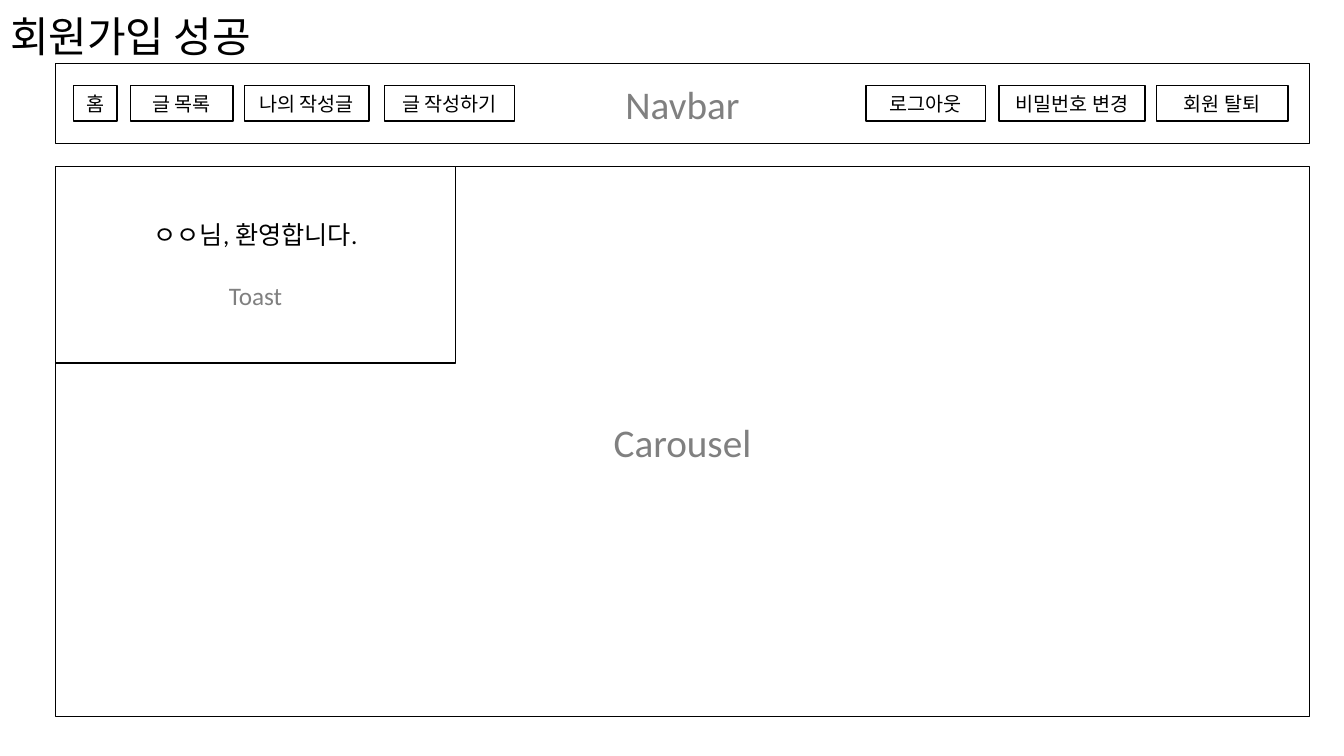
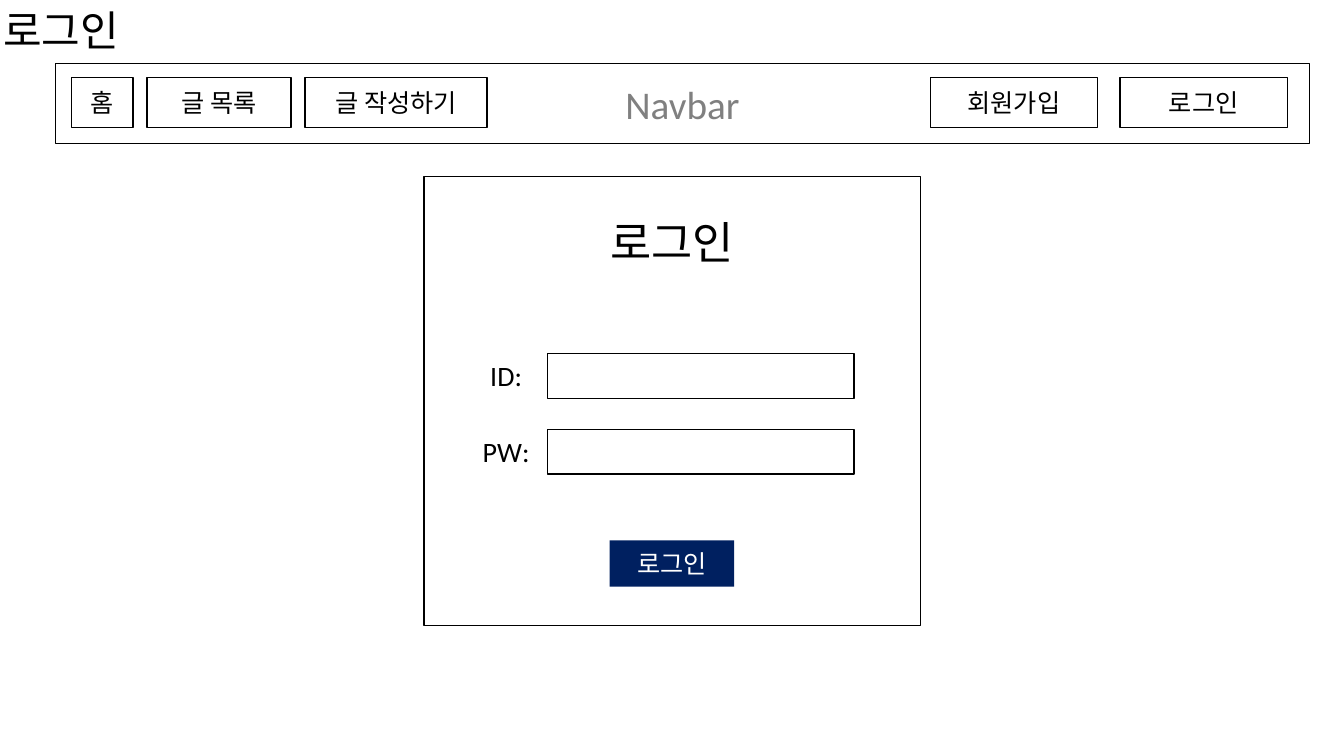
"""Build the wireframes for the sign-up success and login screens."""
from dataclasses import dataclass
from typing import Optional

from pptx import Presentation
from pptx import util as u
from pptx.dml.color import RGBColor
from pptx.enum import shapes, text

COLORS = {"ink": "000000", "paper": "FFFFFF", "hint": "808080", "navy": "002060"}
FONT = "Calibri"
TITLE_ONLY = 5


@dataclass(frozen=True)
class Line:
    """One line of text with its look."""
    words: str
    size: float
    color: str = "ink"
    before: float = 0


@dataclass(frozen=True)
class Box:
    """A rectangle in points with centred text."""
    left: float
    top: float
    width: float
    height: float
    lines: tuple[Line, ...] = ()
    fill: str = "paper"
    border: Optional[str] = "ink"


@dataclass(frozen=True)
class NavButton:
    """A navbar button: caption and horizontal extent."""
    caption: str
    left: float
    width: float


@dataclass(frozen=True)
class NavStyle:
    """What all buttons of one navbar share."""
    top: float
    height: float
    size: float


NAVBAR = Box(39.5, 45.5, 896, 57, (Line("Navbar", 28, "hint"),))
CAROUSEL = Box(39.5, 118.8, 896, 393, (Line("Carousel", 28, "hint"),))
TOAST = Box(39.5, 118.8, 286, 140.4,
            (Line("ㅇㅇ님, 환영합니다.", 18), Line("Toast", 18, "hint", before=22)))
MEMBER_STYLE = NavStyle(61, 25.5, 14)
MEMBER_BUTTONS = (
    NavButton("홈", 52.5, 31),
    NavButton("글 목록", 93, 73.5),
    NavButton("나의 작성글", 174.5, 89),
    NavButton("글 작성하기", 274.5, 93),
    NavButton("로그아웃", 618.5, 85.5),
    NavButton("비밀번호 변경", 713.5, 104.5),
    NavButton("회원 탈퇴", 826, 94),
)
GUEST_STYLE = NavStyle(55.5, 35.5, 18)
GUEST_BUTTONS = (
    NavButton("홈", 51, 44),
    NavButton("글 목록", 105, 103),
    NavButton("글 작성하기", 218, 130),
    NavButton("회원가입", 664.5, 119.5),
    NavButton("로그인", 800, 119.5),
)
CARD = Box(303, 126, 354.5, 321)
LOGIN_BUTTON = Box(435.5, 386, 89, 33, (Line("로그인", 18, "paper"),), "navy", None)
FIELD_LABELS = ("ID:", "PW:")
FIELD_TOP, FIELD_PITCH, FIELD_HEIGHT = 252.7, 54, 32


def rgb(name: str) -> RGBColor:
    """Look up a named colour."""
    return RGBColor.from_string(COLORS[name])


def style(paragraph, line: Line, align) -> None:
    """Write a line into a paragraph and format it."""
    paragraph.text = line.words
    paragraph.alignment = align
    paragraph.space_before = u.Pt(line.before)
    paragraph.font.name = FONT
    paragraph.font.size = u.Pt(line.size)
    paragraph.font.color.rgb = rgb(line.color)


def draw_box(target, box: Box) -> None:
    """Draw a rectangle with its lines in the middle."""
    rect = target.add_shape(shapes.MSO_SHAPE.RECTANGLE, u.Pt(box.left), u.Pt(box.top),
                            u.Pt(box.width), u.Pt(box.height))
    rect.shadow.inherit = False
    rect.fill.solid()
    rect.fill.fore_color.rgb = rgb(box.fill)
    if box.border:
        rect.line.color.rgb = rgb(box.border)
        rect.line.width = u.Pt(1)
    else:
        rect.line.fill.background()
    frame = rect.text_frame
    frame.vertical_anchor = text.MSO_ANCHOR.MIDDLE
    for index, line in enumerate(box.lines):
        paragraph = frame.add_paragraph() if index else frame.paragraphs[0]
        style(paragraph, line, text.PP_ALIGN.CENTER)


def draw_label(target, left: float, top: float, width: float, height: float,
               line: Line) -> None:
    """Draw a centred line of text without a frame."""
    label = target.add_textbox(u.Pt(left), u.Pt(top), u.Pt(width), u.Pt(height))
    label.text_frame.word_wrap = True
    style(label.text_frame.paragraphs[0], line, text.PP_ALIGN.CENTER)


def add_screen(deck, name: str, title_height: float, title_inset: float):
    """Add a slide whose title sits in the top left corner."""
    slide = deck.slides.add_slide(deck.slide_layouts[TITLE_ONLY])
    title = slide.shapes.title
    title.left, title.top = u.Pt(0), u.Pt(0)
    title.width, title.height = u.Pt(828), u.Pt(title_height)
    frame = title.text_frame
    frame.auto_size = text.MSO_AUTO_SIZE.NONE
    frame.vertical_anchor = text.MSO_ANCHOR.MIDDLE
    frame.margin_left = u.Pt(title_inset)
    style(frame.paragraphs[0], Line(name, 30), text.PP_ALIGN.LEFT)
    frame.paragraphs[0].line_spacing = 0.9
    return slide


def draw_navbar(target, buttons: tuple[NavButton, ...], look: NavStyle) -> None:
    """Draw the navbar and its buttons."""
    draw_box(target, NAVBAR)
    for button in buttons:
        draw_box(target, Box(button.left, look.top, button.width, look.height,
                             (Line(button.caption, look.size),)))


def draw_login_form(target) -> None:
    """Draw the login card with its heading and fields."""
    draw_box(target, CARD)
    draw_label(target, CARD.left, 149.8, CARD.width, 46, Line("로그인", 32))
    for row, caption in enumerate(FIELD_LABELS):
        top = FIELD_TOP + row * FIELD_PITCH
        draw_label(target, 331.5, top, 60, FIELD_HEIGHT, Line(caption, 20))
        draw_box(target, Box(391, top, 219, FIELD_HEIGHT))


def main() -> None:
    """Build and save the deck."""
    deck = Presentation()
    deck.slide_width, deck.slide_height = u.Pt(960), u.Pt(540)

    welcome = add_screen(deck, "회원가입 성공", 55.5, 7.2).shapes
    draw_box(welcome, CAROUSEL)
    draw_navbar(welcome, MEMBER_BUTTONS, MEMBER_STYLE)
    draw_box(welcome, TOAST)

    login = add_screen(deck, "로그인", 47, 2.2).shapes
    draw_login_form(login.add_group_shape().shapes)
    draw_navbar(login, GUEST_BUTTONS, GUEST_STYLE)
    draw_box(login, LOGIN_BUTTON)

    deck.save("out.pptx")


main()
